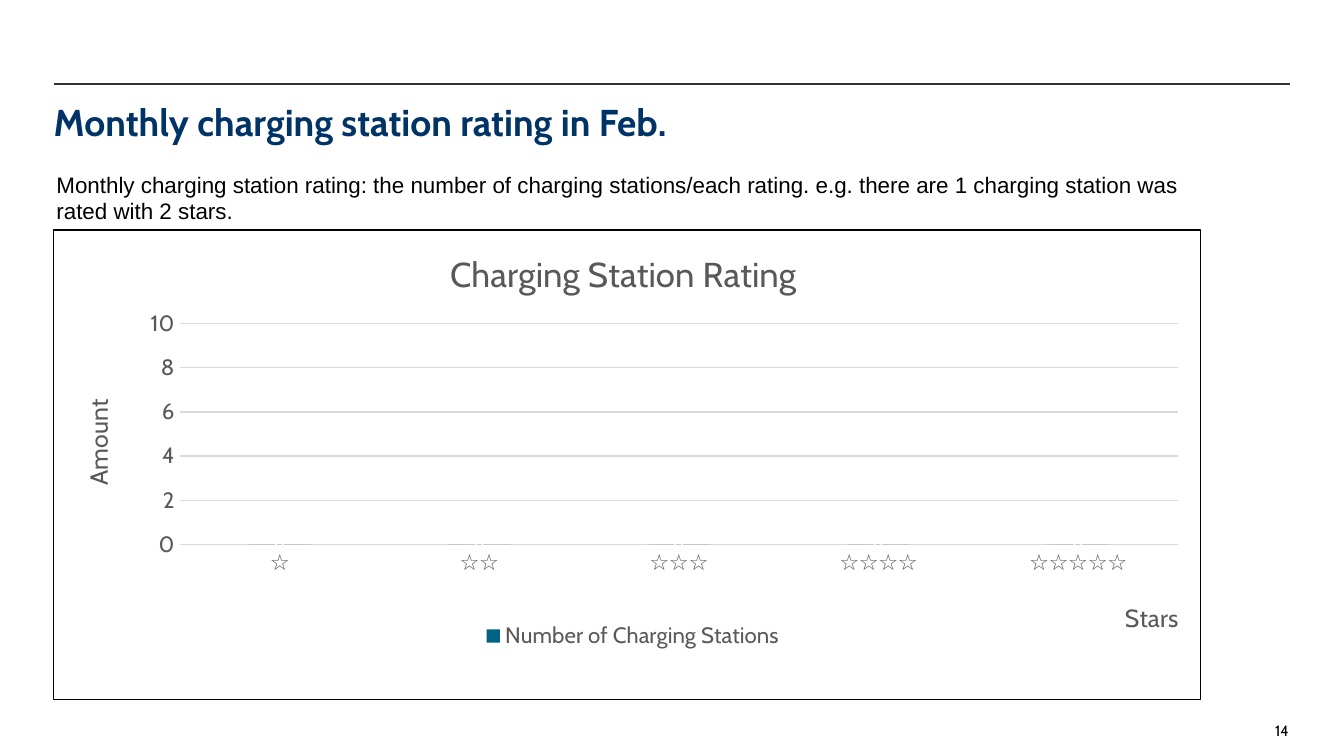
import dataclasses
from typing import Any

import lxml.etree
import pptx
import pptx.chart.data
import pptx.dml.color
import pptx.enum.chart
import pptx.enum.shapes
import pptx.enum.text
import pptx.oxml
import pptx.oxml.ns
import pptx.util

EMU_PER_PX = 4572  # 200 px to the inch


@dataclasses.dataclass(frozen=True)
class Theme:
    heading_font: str = "Cabin"
    body_font: str = "Arial"
    navy: str = "003366"
    black: str = "000000"
    white: str = "FFFFFF"
    rule: str = "333333"
    chart_text: str = "595959"
    grid: str = "D9D9D9"
    bar: str = "006384"
    title_size: float = 20
    body_size: float = 12
    chart_size: float = 10
    small_size: float = 8
    chart_title_size: float = 18.6
    axis_title_size: float = 13.3
    axis_size: float = 11.9
    line_width: float = 0.75


@dataclasses.dataclass(frozen=True)
class Box:
    left: int
    top: int
    width: int
    height: int

    def emu(self) -> list[int]:
        return [px(value) for value in dataclasses.astuple(self)]


@dataclasses.dataclass(frozen=True)
class Label:
    text: str
    box: Box
    font: str
    size: float
    color: str
    bold: bool = False
    align: Any = pptx.enum.text.PP_ALIGN.LEFT


@dataclasses.dataclass(frozen=True)
class ChartTitle:
    owner: Any
    text: str
    size: float
    x: float
    y: float
    rotation: int = 0


THEME = Theme()
LABELS = [
    Label("Monthly charging station rating in Feb.", Box(80, 148, 1840, 112),
          THEME.heading_font, THEME.title_size, THEME.navy, bold=True),
    Label("Monthly charging station rating: the number of charging stations/each rating. "
          "e.g. there are 1 charging station was rated with 2 stars.",
          Box(84, 254, 1720, 88), THEME.body_font, THEME.body_size, THEME.black),
    Label("14", Box(1770, 1074, 148, 30), THEME.heading_font, THEME.small_size, THEME.black,
          align=pptx.enum.text.PP_ALIGN.RIGHT),
]
CHART_BOX = Box(79, 341, 1709, 701)


def px(value: int) -> int:
    return value * EMU_PER_PX


def rgb(color: str) -> pptx.dml.color.RGBColor:
    return pptx.dml.color.RGBColor.from_string(color)


def style_font(font: Any, name: str, size: float, color: str, bold: bool = False) -> None:
    font.name = name
    font.size = pptx.util.Pt(size)
    font.bold = bold
    font.color.rgb = rgb(color)


def style_line(line: Any, color: str) -> None:
    line.color.rgb = rgb(color)
    line.width = pptx.util.Pt(THEME.line_width)


def draw_label(slide: Any, label: Label) -> None:
    text_frame = slide.shapes.add_textbox(*label.box.emu()).text_frame
    text_frame.word_wrap = True
    text_frame.margin_left = text_frame.margin_right = 0
    text_frame.margin_top = text_frame.margin_bottom = 0
    text_frame.text = label.text
    paragraph = text_frame.paragraphs[0]
    paragraph.alignment = label.align
    style_font(paragraph.runs[0].font, label.font, label.size, label.color, label.bold)


def draw_rule(slide: Any) -> None:
    rule = slide.shapes.add_connector(
        pptx.enum.shapes.MSO_CONNECTOR.STRAIGHT, px(80), px(125), px(1920), px(125))
    style_line(rule.line, THEME.rule)
    lxml.etree.SubElement(rule._element.spPr, pptx.oxml.ns.qn("a:effectLst"))


def place(element: Any, index: int, **position: float) -> None:
    """Give a chart part a manual layout, in fractions of the chart."""
    qn = pptx.oxml.ns.qn
    for old_layout in element.findall(qn("c:layout")):
        element.remove(old_layout)
    layout = pptx.oxml.parse_xml(f"<c:layout {pptx.oxml.ns.nsdecls('c')}/>")
    element.insert(index, layout)
    manual = lxml.etree.SubElement(layout, qn("c:manualLayout"))
    if element.tag == qn("c:plotArea"):
        lxml.etree.SubElement(manual, qn("c:layoutTarget")).set("val", "inner")
    for mode in ("xMode", "yMode"):
        lxml.etree.SubElement(manual, qn(f"c:{mode}")).set("val", "edge")
    for key, value in position.items():
        lxml.etree.SubElement(manual, qn(f"c:{key}")).set("val", str(value))


def draw_chart_title(title: ChartTitle) -> None:
    text_frame = title.owner.text_frame
    text_frame.text = title.text
    text_frame._txBody.bodyPr.set("rot", str(title.rotation * 60000))
    style_font(text_frame.paragraphs[0].runs[0].font,
               THEME.heading_font, title.size, THEME.chart_text)
    place(title.owner._element, 1, x=title.x, y=title.y)


def add_border(chart: Any) -> None:
    border = pptx.oxml.parse_xml(
        f"<c:spPr {pptx.oxml.ns.nsdecls('c', 'a')}><a:noFill/>"
        f"<a:ln w='{pptx.util.Pt(THEME.line_width)}'><a:solidFill>"
        f"<a:srgbClr val='{THEME.black}'/></a:solidFill></a:ln></c:spPr>")
    chart._chartSpace.find(pptx.oxml.ns.qn("c:chart")).addnext(border)


def draw_chart(slide: Any) -> None:
    data = pptx.chart.data.CategoryChartData()
    data.categories = ["☆" * stars for stars in range(1, 6)]
    data.add_series("Number of Charging Stations", [0] * 5)
    chart = slide.shapes.add_chart(
        pptx.enum.chart.XL_CHART_TYPE.COLUMN_STACKED, *CHART_BOX.emu(), data).chart
    style_font(chart.font, THEME.heading_font, THEME.chart_size, THEME.black)
    add_border(chart)

    categories, values = chart.category_axis, chart.value_axis
    for axis in (categories, values):
        axis.major_tick_mark = axis.minor_tick_mark = pptx.enum.chart.XL_TICK_MARK.NONE
        style_font(axis.tick_labels.font, THEME.heading_font, THEME.axis_size, THEME.chart_text)
    style_line(categories.format.line, THEME.grid)
    values.format.line.fill.background()
    values.minimum_scale, values.maximum_scale, values.major_unit = 0, 10, 2
    style_line(values.major_gridlines.format.line, THEME.grid)

    for title in (
        ChartTitle(chart.chart_title, "Charging Station Rating", THEME.chart_title_size, 0.34, 0.03),
        ChartTitle(categories.axis_title, "Stars", THEME.axis_title_size, 0.93, 0.78),
        ChartTitle(values.axis_title, "Amount", THEME.axis_title_size, 0.02, 0.35, -90),
    ):
        draw_chart_title(title)

    chart.has_legend = True
    chart.legend.position = pptx.enum.chart.XL_LEGEND_POSITION.BOTTOM
    chart.legend.include_in_layout = False
    style_font(chart.legend.font, THEME.heading_font, THEME.axis_size, THEME.chart_text)
    place(chart.legend._element, 1, x=0.37, y=0.83, w=0.27, h=0.07)

    plot = chart.plots[0]
    plot.gap_width, plot.overlap, plot.vary_by_categories = 219, 100, False
    fill = plot.series[0].format.fill
    fill.solid()
    fill.fore_color.rgb = rgb(THEME.bar)
    labels = plot.series[0].data_labels
    labels.show_value = True
    labels.position = pptx.enum.chart.XL_LABEL_POSITION.CENTER
    style_font(labels.font, THEME.heading_font, THEME.small_size, THEME.white, bold=True)
    place(chart._chartSpace.chart.plotArea, 0, x=0.11, y=0.2, w=0.87, h=0.47)


def main() -> None:
    presentation = pptx.Presentation()
    presentation.slide_width, presentation.slide_height = px(2000), px(1125)
    slide = presentation.slides.add_slide(presentation.slide_layouts[6])
    draw_rule(slide)
    draw_chart(slide)
    for label in LABELS:
        draw_label(slide, label)
    presentation.save("out.pptx")


if __name__ == "__main__":
    main()
